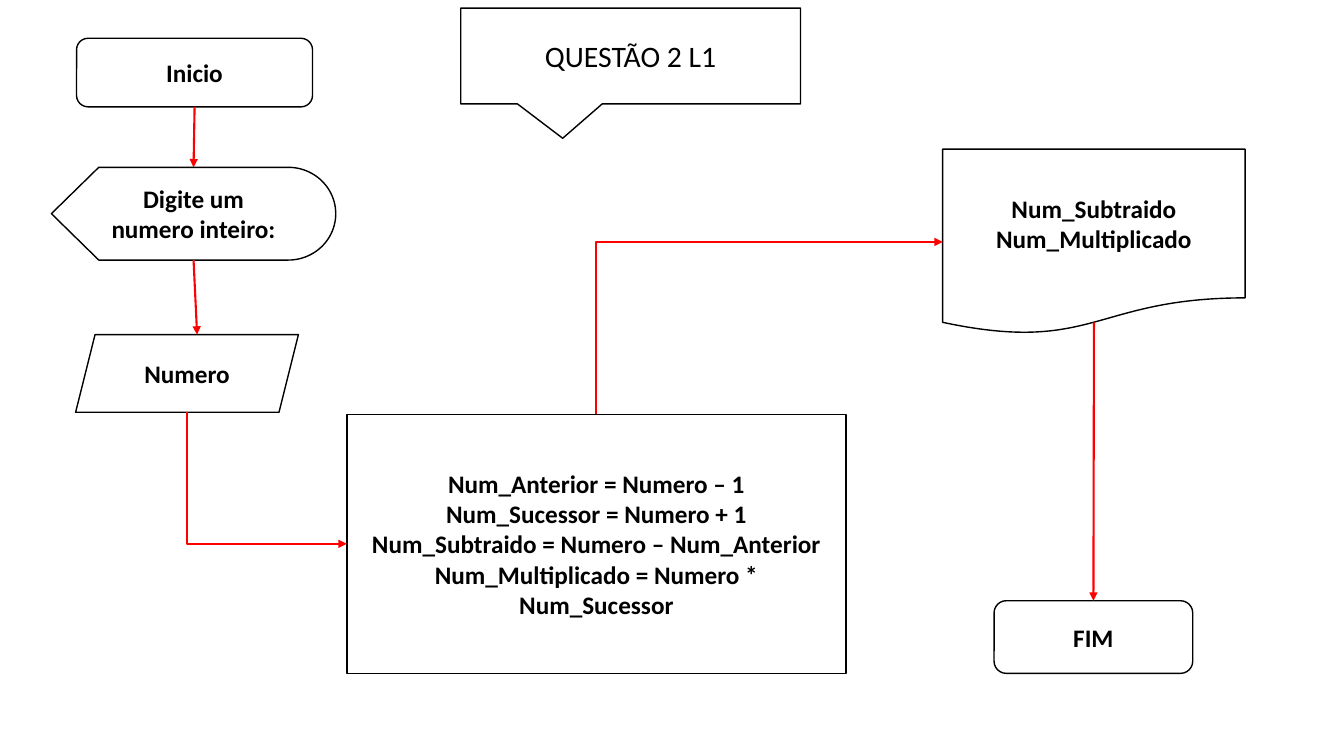
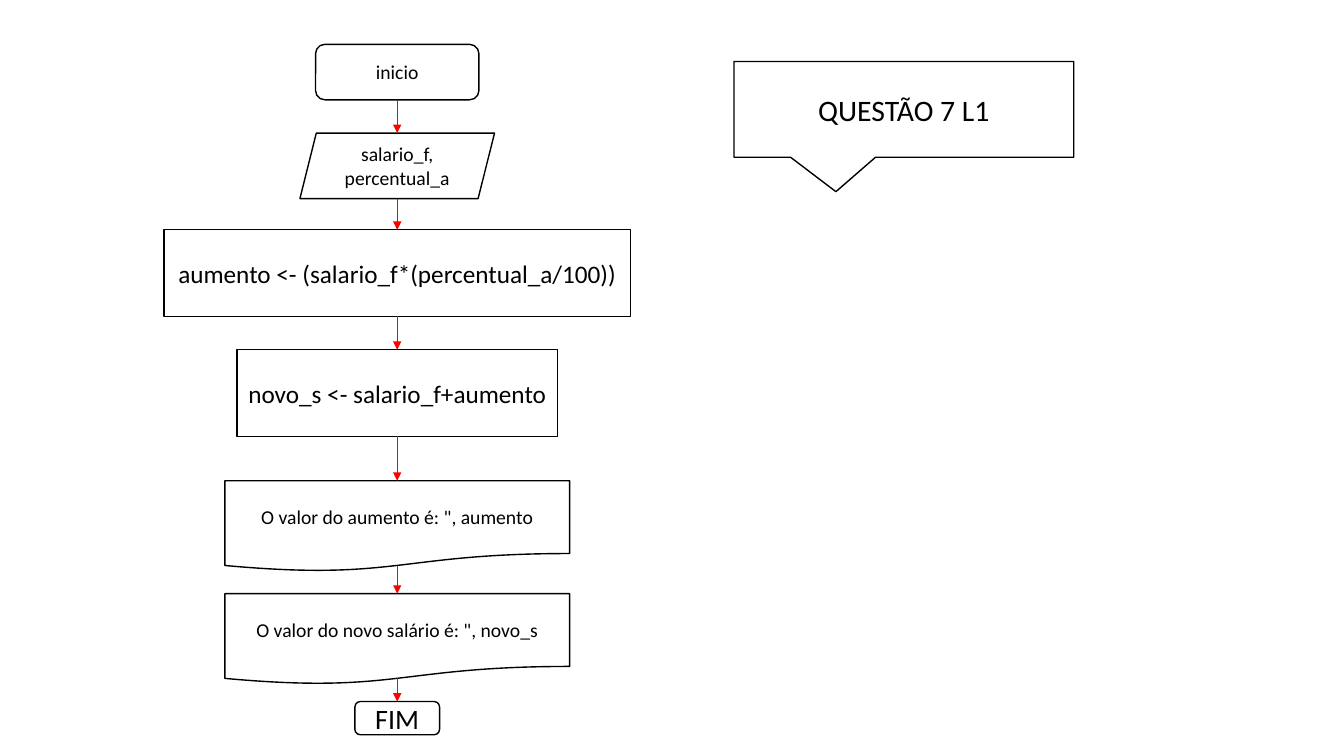
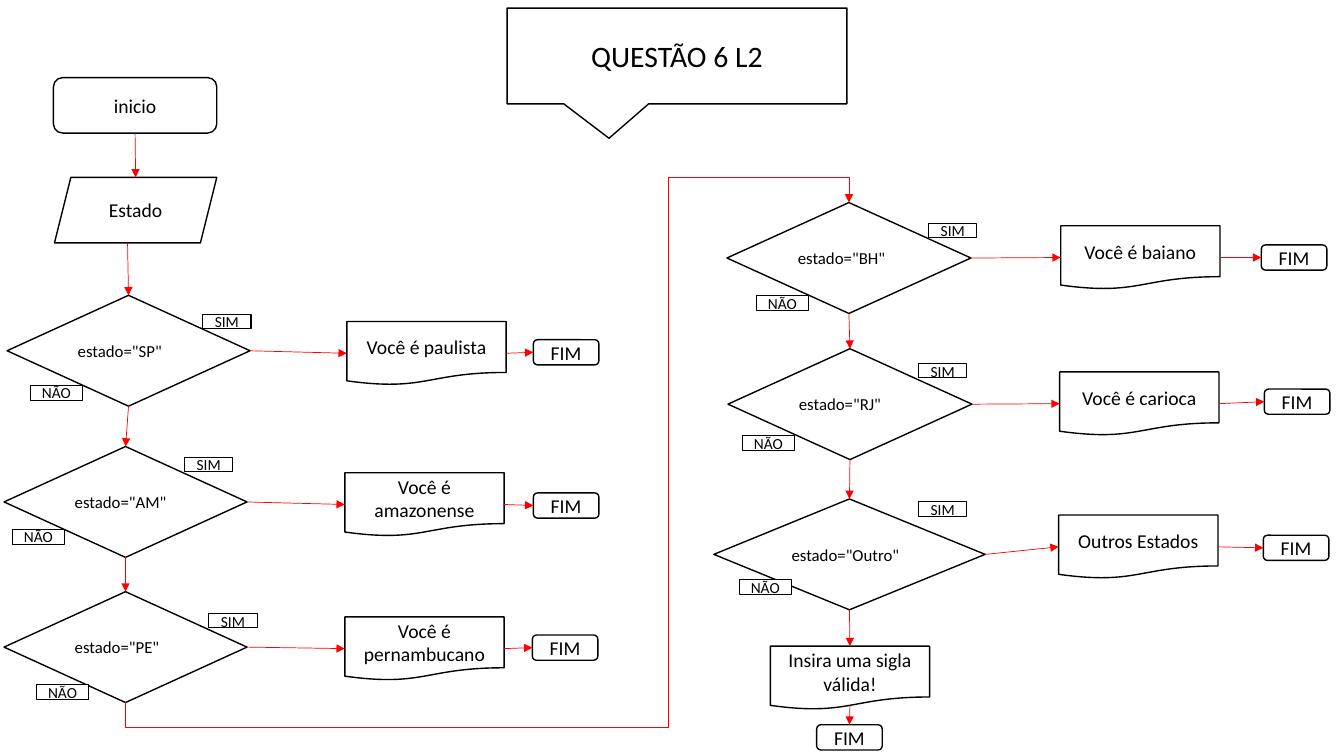
from lxml.etree import SubElement
from pptx import Presentation
from pptx.dml.color import RGBColor
from pptx.enum.shapes import MSO_CONNECTOR, MSO_SHAPE
from pptx.enum.text import MSO_ANCHOR, PP_ALIGN
from pptx.oxml.ns import qn
from pptx.util import Inches, Pt

WHITE, BLACK, RED = "FFFFFF", "000000", "FF0000"
FONT = "Calibri"
START_END = MSO_SHAPE.ROUNDED_RECTANGLE
INPUT = MSO_SHAPE.PARALLELOGRAM
OUTPUT = MSO_SHAPE.FLOWCHART_DOCUMENT
DOCUMENT_FOOT = 0.934  # height of the wavy edge at the middle of a document


def color(value):
    return RGBColor.from_string(value)


def write(shape, text, size=14, bold=False, align=PP_ALIGN.CENTER):
    frame = shape.text_frame
    frame.word_wrap = True
    frame.vertical_anchor = MSO_ANCHOR.MIDDLE
    frame.text = text
    for para in frame.paragraphs:
        para.alignment = align
        for span in para.runs:
            span.font.name = FONT
            span.font.size = Pt(size)
            span.font.bold = bold
            span.font.color.rgb = color(BLACK)


def add_node(page, kind, box, text, border=1, **text_format):
    node = page.shapes.add_shape(kind, *[Inches(length) for length in box])
    node.shadow.inherit = False
    node.fill.solid()
    node.fill.fore_color.rgb = color(WHITE)
    node.line.color.rgb = color(BLACK)
    node.line.width = Pt(border)
    write(node, text, **text_format)
    return node


def add_heading(page, left, top, text):
    callout = add_node(page, MSO_SHAPE.RECTANGULAR_CALLOUT,
                       (left, top, 3.37, 0.95), text, size=21.2)
    callout.adjustments[0] = -0.2
    callout.adjustments[1] = 0.86


def site(node, side, shift=0):
    """Point on the edge of a node, moved sideways by shift inches."""
    foot = DOCUMENT_FOOT if node.auto_shape_type == OUTPUT else 1
    across, down = {"top": (0.5, 0), "bottom": (0.5, foot),
                    "left": (0, 0.5), "right": (1, 0.5)}[side]
    return (int(node.left + node.width * across + Inches(shift)),
            int(node.top + node.height * down))


def style_arrow(arrow, width):
    arrow.line.color.rgb = color(RED)
    arrow.line.width = Pt(width)
    properties = arrow._element.spPr
    SubElement(properties.find(qn("a:ln")), qn("a:tailEnd"), type="triangle")
    SubElement(properties, qn("a:effectLst"))


def add_arrow(page, start, end, width=0.5):
    arrow = page.shapes.add_connector(MSO_CONNECTOR.STRAIGHT, *start, *end)
    style_arrow(arrow, width)


def add_elbow(page, start, end, width=0.5, preset="bentConnector2", bends=()):
    """Arrow that leaves vertically; its box is turned a quarter."""
    middle_x, middle_y = (start[0] + end[0]) // 2, (start[1] + end[1]) // 2
    half_x, half_y = abs(end[0] - start[0]) // 2, abs(end[1] - start[1]) // 2
    arrow = page.shapes.add_connector(
        MSO_CONNECTOR.ELBOW, middle_x - half_y, middle_y - half_x,
        middle_x + half_y, middle_y + half_x)
    properties = arrow._element.spPr
    frame = properties.find(qn("a:xfrm"))
    frame.set("flipH", "1")
    if end[1] > start[1]:
        frame.set("rot", "16200000")
    else:
        frame.set("rot", "5400000")
        frame.set("flipV", "1")
    geometry = properties.find(qn("a:prstGeom"))
    geometry.set("prst", preset)
    guides = geometry.find(qn("a:avLst"))
    if guides is None:
        guides = SubElement(geometry, qn("a:avLst"))
    for number, bend in enumerate(bends, 1):
        SubElement(guides, qn("a:gd"), name=f"adj{number}",
                   fmla=f"val {round(bend * 100000)}")
    style_arrow(arrow, width)


def number_slide(page):
    bold = dict(size=18, bold=True)
    begin = add_node(page, START_END, (0.76, 0.38, 2.34, 0.68), "Inicio", **bold)
    prompt = add_node(page, MSO_SHAPE.FLOWCHART_DISPLAY, (0.51, 1.66, 2.82, 0.92),
                      "Digite um numero inteiro:", **bold)
    number = add_node(page, INPUT, (0.75, 3.32, 2.21, 0.77), "Numero", **bold)
    process = add_node(
        page, MSO_SHAPE.FLOWCHART_PROCESS, (3.44, 4.11, 4.95, 2.57),
        "Num_Anterior = Numero – 1\n"
        "Num_Sucessor = Numero + 1\n"
        "Num_Subtraido = Numero – Num_Anterior\n"
        "Num_Multiplicado = Numero * Num_Sucessor", **bold)
    result = add_node(page, OUTPUT, (9.35, 1.48, 3, 1.84),
                      "Num_Subtraido\nNum_Multiplicado", **bold)
    finish = add_node(page, START_END, (9.86, 5.96, 1.97, 0.72), "FIM", **bold)
    add_heading(page, 4.57, 0.08, "QUESTÃO 2 L1")

    add_arrow(page, site(begin, "bottom"), site(prompt, "top"), 1.5)
    add_arrow(page, site(prompt, "bottom"), site(number, "top", 0.1), 1.5)
    add_elbow(page, site(number, "bottom"), site(process, "left"), 1.5)
    add_elbow(page, site(process, "top"), site(result, "left"), 1.5)
    add_arrow(page, site(result, "bottom"), site(finish, "top"), 1.5)


def salary_slide(page):
    center = 3.94
    # kind, top, width, height, text, size
    steps = [
        (START_END, 0.44, 1.62, 0.55, "inicio", 14),
        (INPUT, 1.32, 1.93, 0.65, "salario_f, percentual_a", 14),
        (MSO_SHAPE.RECTANGLE, 2.28, 4.63, 0.86,
         "aumento <- (salario_f*(percentual_a/100))", 18),
        (MSO_SHAPE.RECTANGLE, 3.47, 3.18, 0.86, "novo_s <- salario_f+aumento", 18),
        (OUTPUT, 4.77, 3.42, 0.9, 'O valor do aumento é: ", aumento', 14),
        (OUTPUT, 5.89, 3.42, 0.9, 'O valor do novo salário é: ", novo_s', 14),
        (START_END, 6.96, 0.84, 0.33, "FIM", 20),
    ]
    nodes = [add_node(page, kind, (center - width / 2, top, width, height),
                      text, size=size)
             for kind, top, width, height, text, size in steps]
    for upper, lower in zip(nodes, nodes[1:]):
        add_arrow(page, site(upper, "bottom"), site(lower, "top"))
    add_heading(page, 7.28, 0.61, "QUESTÃO 7 L1")


def add_end(page, left, top):
    return add_node(page, START_END, (left, top, 0.65, 0.25), "FIM")


def add_reply(page, left, top, text):
    return add_node(page, OUTPUT, (left, top, 1.58, 0.63), text)


def add_decision(page, state, answer, diamond, reply_at, end_at, yes_at, no_at):
    """One test with its reply, its end and its two branch labels."""
    left, top, width = diamond
    test = add_node(page, MSO_SHAPE.DIAMOND, (left, top, width, 1.1),
                    f'estado="{state}"', size=12, align=PP_ALIGN.LEFT)
    reply = add_reply(page, *reply_at, answer)
    finish = add_end(page, *end_at)
    add_arrow(page, site(test, "right"), site(reply, "left"))
    add_arrow(page, site(reply, "right"), site(finish, "left"))
    for label, place, size in (("SIM", yes_at, (0.48, 0.14)),
                               ("NÃO", no_at, (0.52, 0.15))):
        add_node(page, MSO_SHAPE.RECTANGLE, place + size, label,
                 border=0.75, size=11)
    return test


def state_slide(page):
    begin = add_node(page, START_END, (0.53, 0.77, 1.62, 0.55), "inicio")
    state = add_node(page, INPUT, (0.54, 1.76, 1.61, 0.65), "Estado")

    # state, answer, diamond (left, top, width), then reply, end, yes, no
    left_column = [
        ("SP", "Você é paulista", (0.07, 2.93, 2.41),
         (3.44, 3.19), (5.29, 3.37), (2.01, 3.12), (0.3, 3.82)),
        ("AM", "Você é amazonense", (0.04, 4.43, 2.41),
         (3.42, 4.69), (5.29, 4.89), (1.83, 4.54), (0.12, 5.25)),
        ("PE", "Você é pernambucano", (0.04, 5.87, 2.41),
         (3.42, 6.12), (5.28, 6.3), (2.07, 6.09), (0.36, 6.79)),
    ]
    right_column = [
        ("BH", "Você é baiano", (7.21, 2.01, 2.42),
         (10.52, 2.24), (12.51, 2.43), (9.21, 2.22), (7.5, 2.93)),
        ("RJ", "Você é carioca", (7.22, 3.46, 2.42),
         (10.51, 3.69), (12.54, 3.86), (9.11, 3.61), (7.36, 4.32)),
        ("Outro", "Outros Estados", (7.08, 4.95, 2.69),
         (10.5, 5.11), (12.53, 5.31), (9.11, 4.98), (7.33, 5.75)),
    ]
    left_tests, right_tests = [
        [add_decision(page, *row) for row in column]
        for column in (left_column, right_column)]
    invalid = add_reply(page, 7.64, 6.41, "Insira uma sigla válida!")
    finish = add_end(page, 8.1, 7.19)

    # Downward flow, then the passage from the left to the right column
    add_arrow(page, site(begin, "bottom"), site(state, "top"))
    add_arrow(page, site(state, "bottom", -0.08), site(left_tests[0], "top"))
    for chain in (left_tests, right_tests + [invalid, finish]):
        for upper, lower in zip(chain, chain[1:]):
            add_arrow(page, site(upper, "bottom"), site(lower, "top"))
    add_elbow(page, site(left_tests[-1], "bottom"), site(right_tests[0], "top"),
              preset="bentConnector5", bends=(-0.05, 0.75, 1.05))
    add_heading(page, 5.03, 0.08, "QUESTÃO 6 L2")


deck = Presentation()
deck.slide_width = Inches(13.33)
deck.slide_height = Inches(7.5)
blank = deck.slide_layouts[6]
for build in (number_slide, salary_slide, state_slide):
    build(deck.slides.add_slide(blank))
deck.save("out.pptx")
